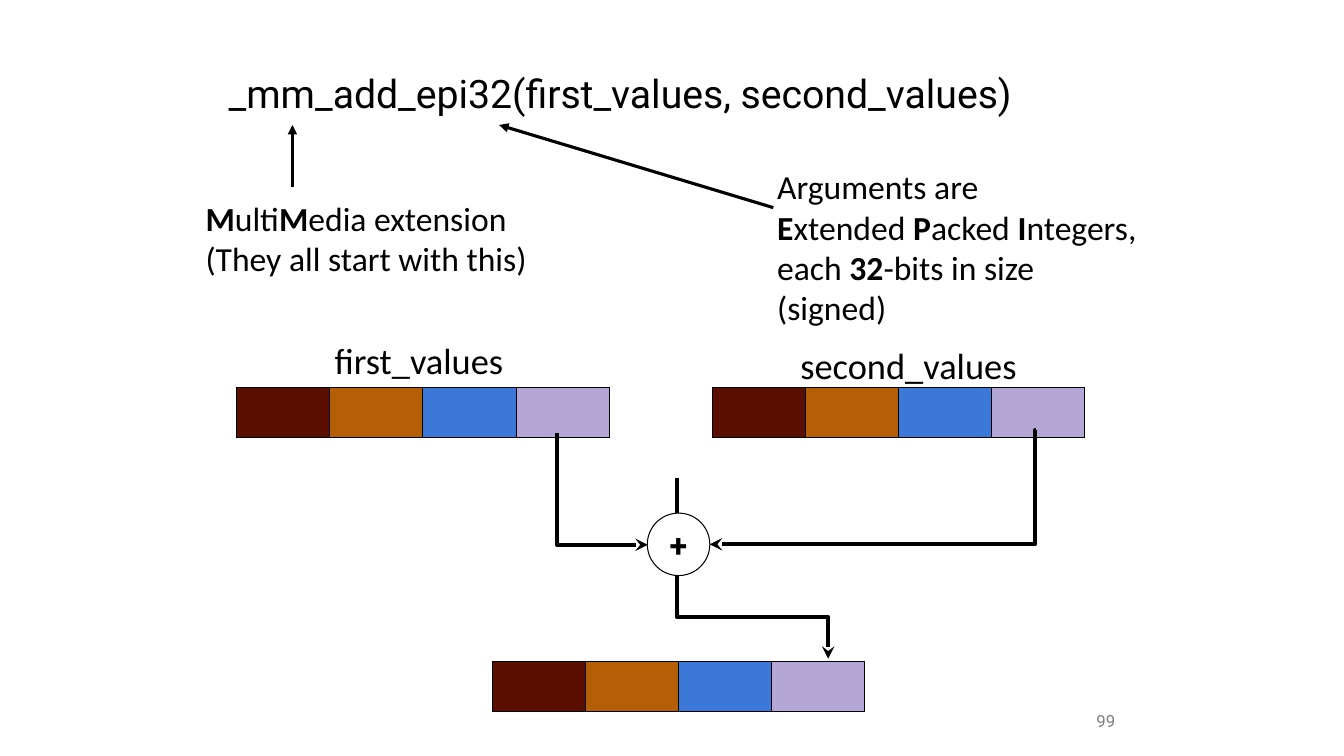
"""Build a slide explaining how a packed integer addition intrinsic works."""
import pptx
import pptx.dml.color
import pptx.enum.shapes
import pptx.enum.text
import pptx.oxml
import pptx.oxml.ns
import pptx.util
from pptx.util import Inches

BLACK = "000000"
LANES = ["5B0F00", "B45F06", "3C78D8", "B4A7D6"]
VECTORS = [(2.35, 3.84), (7.07, 3.84), (4.88, 6.56)]
VECTOR_W, VECTOR_H = 3.69, 0.5

TITLE = [[("_mm_add_epi32(first_values, second_values)", False)]]
PREFIX_NOTE = [
    [("M", True), ("ulti", False), ("M", True), ("edia extension", False)],
    [("(They all start with this)", False)],
]
SUFFIX_NOTE = [
    [("Arguments are", False)],
    [("E", True), ("xtended ", False), ("P", True), ("acked ", False),
     ("I", True), ("ntegers,", False)],
    [("each ", False), ("32", True), ("-bits in size", False)],
    [("(signed)", False)],
]
TEXTS = [
    ((2.17, 0.3, 9, 1.25), TITLE, 28, "Roboto", BLACK, "MIDDLE", "LEFT"),
    ((8.83, 6.95, 2.33, 0.4), [[("99", False)]], 12, "Roboto", "808080", "MIDDLE", "RIGHT"),
    ((1.94, 1.86, 3.48, 1.79), PREFIX_NOTE, 24, "Calibri", BLACK, "TOP", "LEFT"),
    ((7.61, 1.55, 3.79, 1.79), SUFFIX_NOTE, 24, "Calibri", BLACK, "TOP", "LEFT"),
    ((3.22, 3.25, 1.94, 0.4), [[("first_values", False)]], 26, "Calibri", BLACK, "TOP", "LEFT"),
    ((7.84, 3.3, 2.53, 0.4), [[("second_values", False)]], 26, "Calibri", BLACK, "TOP", "LEFT"),
]
POINTERS = [((2.9, 1.86), (2.9, 1.24)), ((7.67, 2.06), (4.95, 1.24))]
RESULT_PATH = ((6.57, 4.89, 1.79, 1.5), 270, "bentConnector3", 76900)
INPUT_PATHS = [
    ((5.42, 4.4, 1.11, 0.9), 270, "bentConnector2", None),
    ((7.04, 4.27, 3.24, 1.13), 0, "bentConnector3", 400),
]
ADDER = (6.42, 5.09, 0.62, 0.62)


def rgb(color):
    return pptx.dml.color.RGBColor.from_string(color)


def sub(parent, tag, **attrs):
    el = pptx.oxml.ns.qn(tag)
    child = parent.makeelement(el, attrs)
    parent.append(child)
    return child


def write(sp, lines, size, font, color, anchor, align):
    tf = sp.text_frame
    tf.word_wrap = True
    tf.vertical_anchor = getattr(pptx.enum.text.MSO_ANCHOR, anchor)
    tf.margin_left = tf.margin_right = Inches(0.1)
    tf.margin_top = tf.margin_bottom = Inches(0.1)
    p = tf.paragraphs[0]
    p.alignment = getattr(pptx.enum.text.PP_ALIGN, align)
    for i, line in enumerate(lines):
        if i:
            p.add_line_break()
        for text, bold in line:
            r = p.add_run()
            r.text = text
            r.font.size = pptx.util.Pt(size)
            r.font.name = font
            r.font.bold = bold
            r.font.color.rgb = rgb(color)


def add_line(s, kind, start, end, width, head):
    ends = [Inches(v) for v in (*start, *end)]
    sp = s.shapes.add_connector(kind, *ends)
    sp.line.color.rgb = rgb(BLACK)
    sp.line.width = pptx.util.Pt(width)
    sub(sp.line._get_or_add_ln(), "a:tailEnd", type=head)
    sub(sp._element.spPr, "a:effectLst")
    return sp


def add_path(s, box, rotation, preset, bend):
    x, y, w, h = box
    kind = pptx.enum.shapes.MSO_CONNECTOR.ELBOW
    sp = add_line(s, kind, (x, y), (x + w, y + h), 3, "stealth")
    spPr = sp._element.spPr
    xfrm = spPr.find(pptx.oxml.ns.qn("a:xfrm"))
    xfrm.set("rot", str(rotation * 60000))
    xfrm.set("flipH", "1")
    geom = spPr.find(pptx.oxml.ns.qn("a:prstGeom"))
    geom.set("prst", preset)
    if bend is not None:
        guides = geom.find(pptx.oxml.ns.qn("a:avLst"))
        sub(guides, "a:gd", name="adj1", fmla=f"val {bend}")


def add_vector(s, x, y):
    box = [Inches(v) for v in (x, y, VECTOR_W, VECTOR_H)]
    table = s.shapes.add_table(1, len(LANES), *box).table
    for i, color in enumerate(LANES):
        table.columns[i].width = Inches(VECTOR_W / len(LANES))
        cell = table.cell(0, i)
        tcPr = cell._tc.get_or_add_tcPr()
        for side in "LRTB":
            ln = sub(tcPr, f"a:ln{side}", w="9525")
            sub(sub(ln, "a:solidFill"), "a:srgbClr", val=BLACK)
        cell.fill.solid()
        cell.fill.fore_color.rgb = rgb(color)


def add_adder(s):
    oval = pptx.enum.shapes.MSO_SHAPE.OVAL
    sp = s.shapes.add_shape(oval, *[Inches(v) for v in ADDER])
    sp.shadow.inherit = False
    sp.fill.solid()
    sp.fill.fore_color.rgb = rgb("FFFFFF")
    sp.line.color.rgb = rgb(BLACK)
    sp.line.width = pptx.util.Pt(0.75)
    write(sp, [[("+", True)]], 23, "Roboto", BLACK, "MIDDLE", "CENTER")


def main():
    prs = pptx.Presentation()
    prs.slide_width, prs.slide_height = Inches(13.33), Inches(7.5)
    s = prs.slides.add_slide(prs.slide_layouts[6])
    add_path(s, *RESULT_PATH)
    for box, *style in TEXTS:
        write(s.shapes.add_textbox(*[Inches(v) for v in box]), *style)
    for start, end in POINTERS:
        add_line(s, pptx.enum.shapes.MSO_CONNECTOR.STRAIGHT, start, end, 2.25, "triangle")
    for x, y in VECTORS:
        add_vector(s, x, y)
    add_adder(s)
    for route in INPUT_PATHS:
        add_path(s, *route)
    prs.save("out.pptx")


if __name__ == "__main__":
    main()
